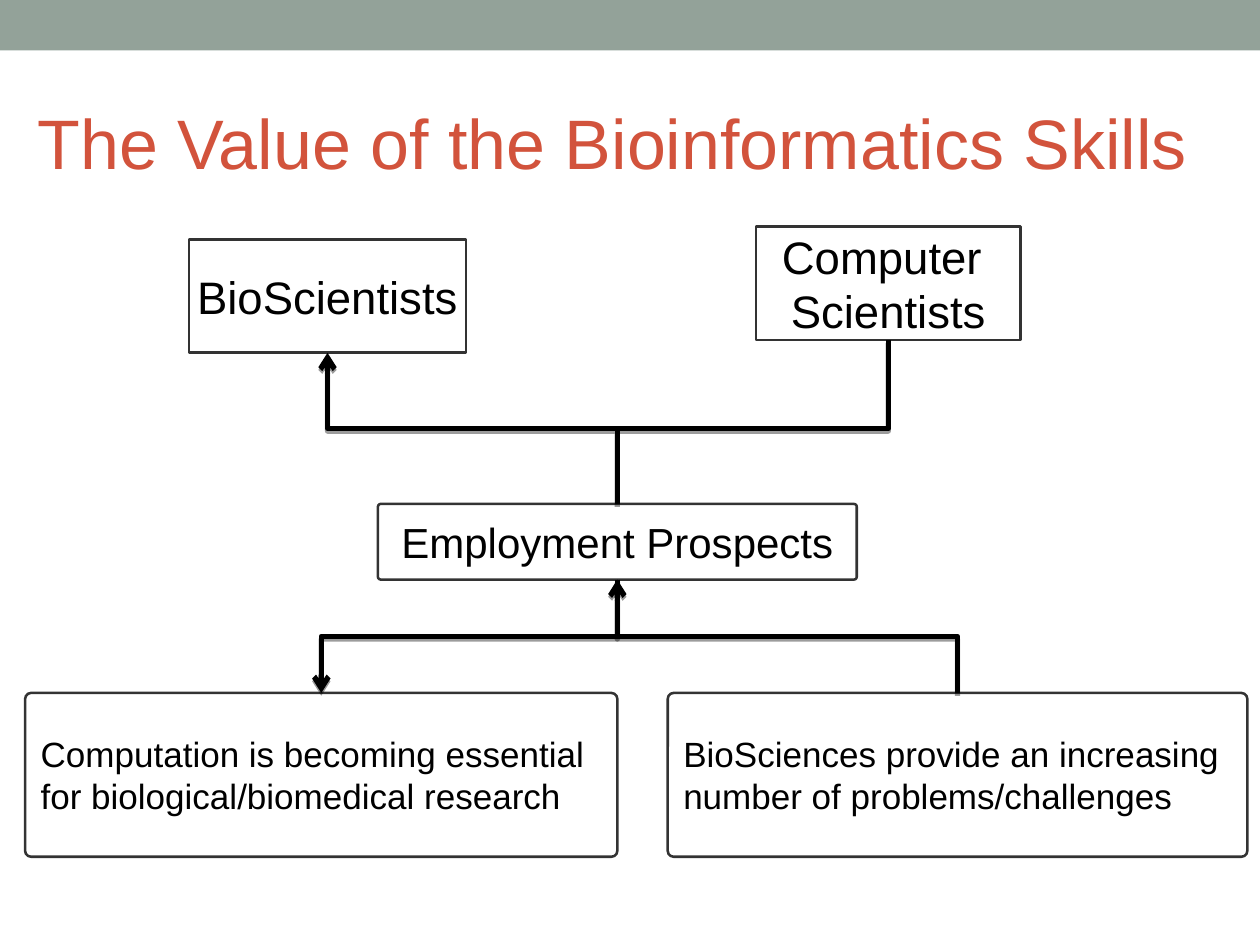
import pptx
import pptx.dml.color
import pptx.enum.shapes
import pptx.enum.text
import pptx.oxml
import pptx.util
from pptx.oxml.ns import nsdecls, qn

Inches, Pt = pptx.util.Inches, pptx.util.Pt
RGBColor = pptx.dml.color.RGBColor
SHAPE = pptx.enum.shapes.MSO_SHAPE
ALIGN = pptx.enum.text.PP_ALIGN

BAND = RGBColor(0x93, 0xA2, 0x99)
TITLE = RGBColor(0xD2, 0x53, 0x3C)
OUTLINE = RGBColor(0x33, 0x33, 0x33)
BLACK = RGBColor(0, 0, 0)
WHITE = RGBColor(0xFF, 0xFF, 0xFF)

WIDTH, HEIGHT = 10, 7.5

# Content: box key -> left, top, width, height in inches, lines, size, format
title = "The Value of the Bioinformatics Skills"
boxes = {
    "computer": (6, 1.8, 2.1, 0.9, ["Computer ", "Scientists"], 26, {}),
    "bio": (1.5, 1.9, 2.2, 0.9, ["BioScientists"], 26, {}),
    "challenges": (5.3, 5.5, 4.6, 1.3,
                   ["BioSciences provide an increasing", "number of problems/challenges"],
                   20, dict(rounded=True, align=ALIGN.LEFT)),
    "computation": (0.2, 5.5, 4.7, 1.3,
                    ["Computation is becoming essential", "for biological/biomedical research"],
                    20, dict(rounded=True, align=ALIGN.LEFT)),
    "prospects": (3, 4, 3.8, 0.6, ["Employment Prospects"], 24, dict(rounded=True)),
}


def anchor(key, side):
    left, top, width, height = boxes[key][:4]
    return left + width / 2, top + (height if side == "bottom" else 0)


# Links: start, end, preset, arrowhead at the end
junction = (anchor("prospects", "top")[0], 3.4)
links = [
    (anchor("prospects", "top"), anchor("bio", "bottom"), "bentConnector3", True),
    (anchor("computer", "bottom"), junction, "bentConnector2", False),
    (anchor("prospects", "bottom"), anchor("computation", "top"), "bentConnector3", True),
    (anchor("challenges", "top"), anchor("prospects", "bottom"), "bentConnector3", True),
]


def write(shape, lines, size, color=BLACK, align=ALIGN.CENTER, wrap=True, inset=(0.11, 0.06)):
    frame = shape.text_frame
    frame.word_wrap = wrap
    frame.vertical_anchor = pptx.enum.text.MSO_ANCHOR.MIDDLE
    frame.margin_left = frame.margin_right = Inches(inset[0])
    frame.margin_top = frame.margin_bottom = Inches(inset[1])
    for i, line in enumerate(lines):
        paragraph = frame.paragraphs[0] if i == 0 else frame.add_paragraph()
        paragraph.alignment = align
        run = paragraph.add_run()
        run.text = line
        run.font.name, run.font.size = "Arial", Pt(size)
        run.font.color.rgb = color


def add_box(slide, left, top, width, height, lines, size, rounded=False, align=ALIGN.CENTER):
    kind = SHAPE.ROUNDED_RECTANGLE if rounded else SHAPE.RECTANGLE
    box = slide.shapes.add_shape(kind, *map(Inches, (left, top, width, height)))
    if rounded:
        box.adjustments[0] = 0.036
    box.shadow.inherit = False
    box.fill.solid()
    box.fill.fore_color.rgb = WHITE
    box.line.color.rgb = OUTLINE
    box.line.width = Pt(1.45)
    write(box, lines, size, align=align, wrap=align == ALIGN.LEFT)


def add_link(slide, start, end, preset, arrow):
    """Elbow that leaves vertically and runs left: a preset turned by 90 degrees."""
    (x1, y1), (x2, y2) = start, end
    mid_x, mid_y = (x1 + x2) / 2, (y1 + y2) / 2
    half_w, half_h = (y2 - y1) / 2, (x1 - x2) / 2
    link = slide.shapes.add_connector(
        pptx.enum.shapes.MSO_CONNECTOR.ELBOW,
        *map(Inches, (mid_x - half_w, mid_y - half_h, mid_x + half_w, mid_y + half_h)))
    link.line.color.rgb = BLACK
    link.line.width = Pt(3)
    properties = link._element.spPr
    properties.find(qn("a:xfrm")).set("rot", str(90 * 60000))
    properties.find(qn("a:prstGeom")).set("prst", preset)
    if arrow:
        properties.find(qn("a:ln")).append(
            pptx.oxml.parse_xml(f'<a:tailEnd {nsdecls("a")} type="arrow"/>'))
    properties.append(pptx.oxml.parse_xml(
        f'<a:effectLst {nsdecls("a")}>'
        f'<a:outerShdw blurRad="0" dist="{Pt(1.6)}" dir="5400000" rotWithShape="0">'
        '<a:srgbClr val="000000"><a:alpha val="38000"/></a:srgbClr>'
        '</a:outerShdw></a:effectLst>'))


def main():
    deck = pptx.Presentation()
    deck.slide_width, deck.slide_height = Inches(WIDTH), Inches(HEIGHT)
    slide = deck.slides.add_slide(deck.slide_layouts[6])

    # Top band and title
    band = slide.shapes.add_shape(SHAPE.RECTANGLE, 0, 0, Inches(WIDTH), Inches(0.4))
    band.shadow.inherit = False
    band.fill.solid()
    band.fill.fore_color.rgb = BAND
    band.line.fill.background()
    heading = slide.shapes.add_textbox(*map(Inches, (0.2, 0.58, 9.56, 1.08)))
    write(heading, [title], 40, color=TITLE, align=ALIGN.LEFT, inset=(0.1, 0.05))

    # Boxes, then the links over them
    for left, top, width, height, lines, size, style in boxes.values():
        add_box(slide, left, top, width, height, lines, size, **style)
    for link in links:
        add_link(slide, *link)

    deck.save("out.pptx")


if __name__ == "__main__":
    main()
